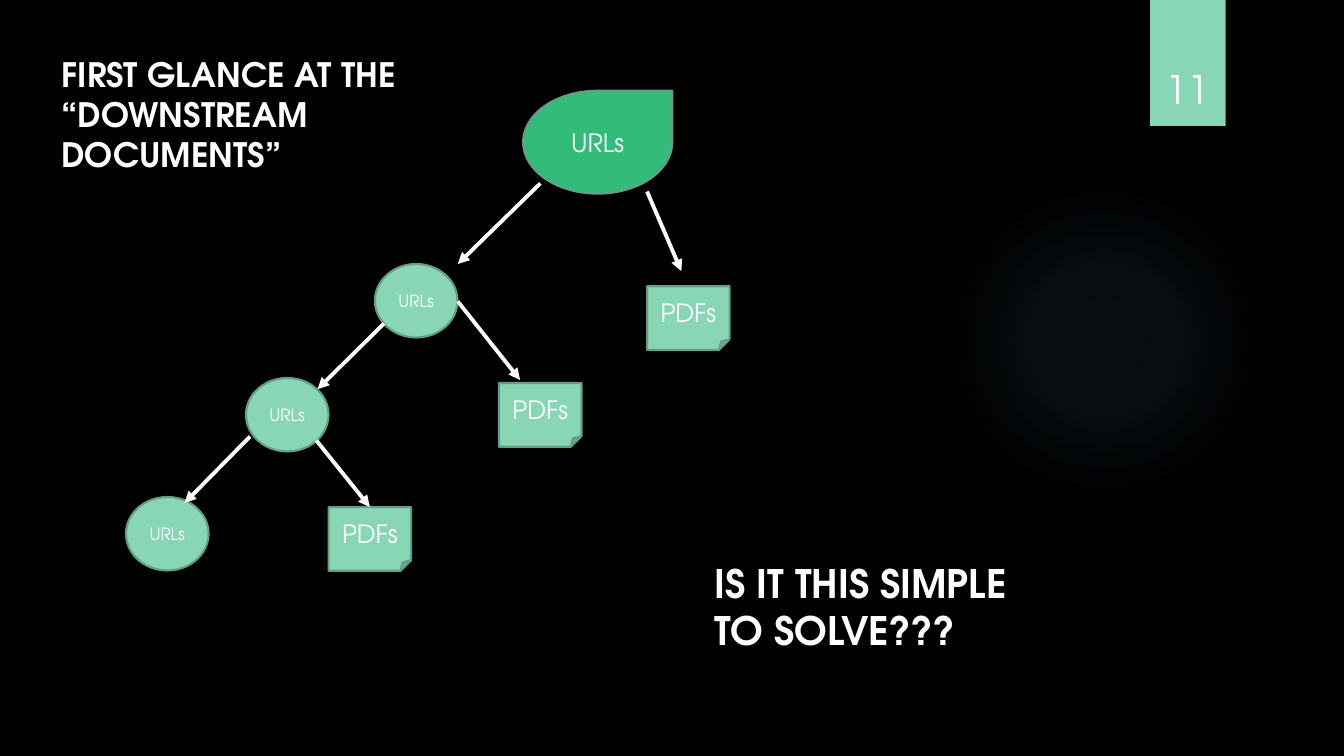
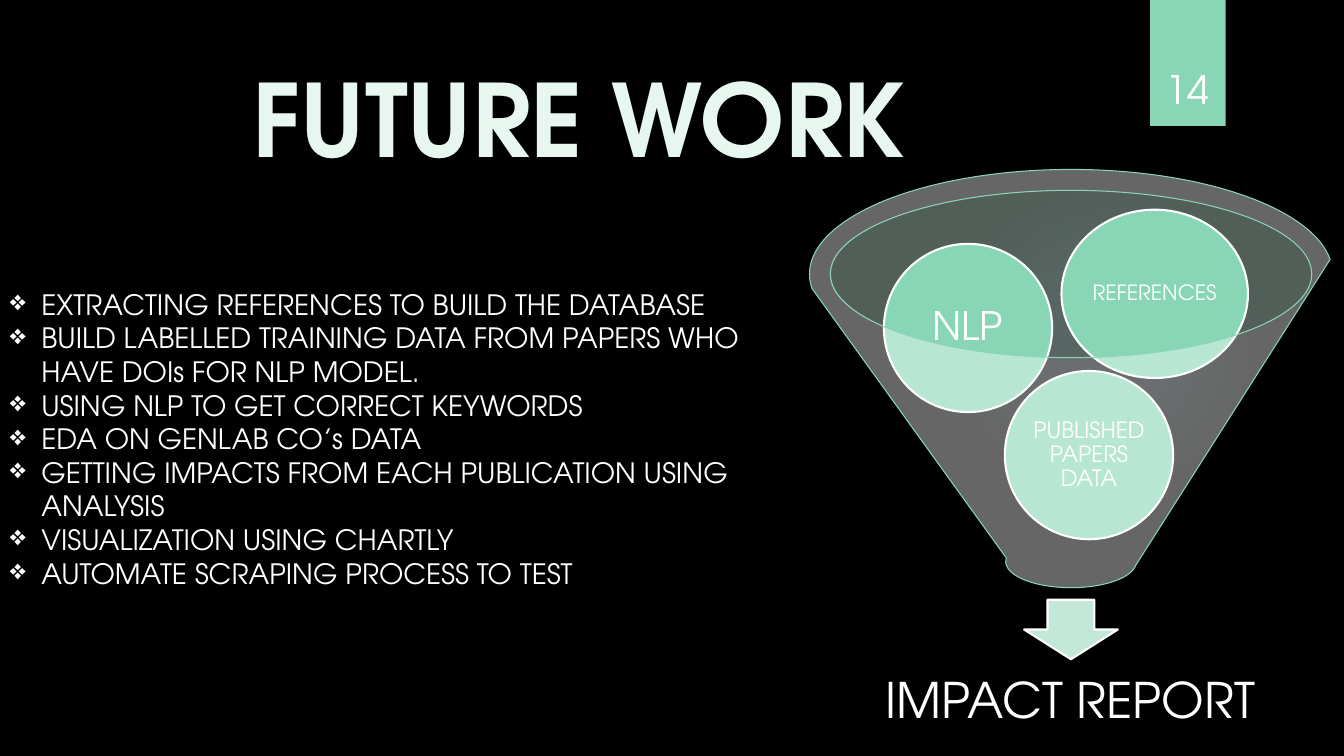
from typing import NamedTuple

from lxml import etree
from pptx import Presentation, oxml
from pptx import util as u
from pptx.dml import color
from pptx.enum import shapes, text
from pptx.oxml import ns
from pptx.shapes import autoshape
from pptx.slide import Slide
from pptx.text.text import TextFrame

FONT = "TeX Gyre Adventor"
COLORS = {
    "background": "000000",
    "text": "FFFFFF",
    "headline": "E7F7F0",
    "mint": "88D6B6",
    "green": "32BB79",
    "outline": "659E87",
    "rim": "CFECDE",
    "arrow": "C3E8D7",
    "glow": "7AC4F0",
}
TITLE_ONLY = 5
KIND = shapes.MSO_SHAPE
ALIGN = text.PP_ALIGN
ANCHOR = text.MSO_ANCHOR


class Box(NamedTuple):
    left: float
    top: float
    width: float
    height: float

    def lengths(self) -> list[u.Length]:
        return [u.Pt(value) for value in self]


class TextStyle(NamedTuple):
    size: float
    color: str = "text"
    bold: bool = False
    align: text.PP_ALIGN = ALIGN.CENTER
    anchor: text.MSO_ANCHOR = ANCHOR.MIDDLE
    line_spacing: float = 1.0
    inset: tuple[float, float] = (7.2, 3.6)
    wrap: bool = True


class NodeStyle(NamedTuple):
    kind: shapes.MSO_SHAPE
    width: float
    height: float
    fill: str
    size: float


class Node(NamedTuple):
    style: NodeStyle
    label: str
    left: float
    top: float


class Arrow(NamedTuple):
    begin: tuple[float, float]
    end: tuple[float, float]


class Ball(NamedTuple):
    label: str
    box: Box
    size: float
    inset: float


ROOT = NodeStyle(KIND.TEAR, 106.5, 73.5, "green", 18)
URL = NodeStyle(KIND.OVAL, 59, 52.5, "mint", 12)
PDF = NodeStyle(KIND.FOLDED_CORNER, 59, 45.5, "mint", 18)

NODES = [
    Node(ROOT, "URLs", 373.7, 64.8),
    Node(URL, "URLs", 267.8, 188.6),
    Node(URL, "URLs", 175.7, 270),
    Node(URL, "URLs", 90, 355),
    Node(PDF, "PDFs", 462.2, 204.5),
    Node(PDF, "PDFs", 356.4, 273.6),
    Node(PDF, "PDFs", 234.7, 362.2),
]
ARROWS = [
    Arrow((386, 131), (327, 188.6)),
    Arrow((462.2, 136.8), (486.7, 193.7)),
    Arrow((274.3, 231.1), (226.8, 278)),
    Arrow((327, 215.3), (371.5, 271.4)),
    Arrow((178.6, 311.8), (131.8, 359.3)),
    Arrow((226, 314.6), (264.2, 362.2)),
]
TASKS = [
    "EXTRACTING REFERENCES TO BUILD THE DATABASE",
    "BUILD LABELLED TRAINING DATA FROM PAPERS WHO HAVE DOIs FOR NLP MODEL.",
    "USING NLP TO GET CORRECT KEYWORDS",
    "EDA ON GENLAB CO’s DATA",
    "GETTING IMPACTS FROM EACH PUBLICATION USING ANALYSIS",
    "VISUALIZATION USING CHARTLY",
    "AUTOMATE SCRAPING PROCESS TO TEST",
]
BALLS = [
    Ball("PUBLISHED PAPERS DATA", Box(717.8, 265, 120.2, 120.2), 16, 1.5),
    Ball("NLP", Box(631.4, 174.2, 120.2, 120.2), 28, 3),
    Ball("REFERENCES", Box(758.2, 149.8, 133.2, 120.2), 15, 1.5),
]


def rgb(name: str) -> color.RGBColor:
    return color.RGBColor.from_string(COLORS[name])


def write(frame: TextFrame, lines: list[str], style: TextStyle, bullet: str = "") -> None:
    frame.word_wrap = style.wrap
    frame.auto_size = text.MSO_AUTO_SIZE.NONE
    frame.vertical_anchor = style.anchor
    frame.margin_left = frame.margin_right = u.Pt(style.inset[0])
    frame.margin_top = frame.margin_bottom = u.Pt(style.inset[1])
    for index, line in enumerate(lines):
        paragraph = frame.paragraphs[0] if index == 0 else frame.add_paragraph()
        paragraph.alignment = style.align
        paragraph.line_spacing = style.line_spacing
        if bullet:
            add_bullet(paragraph, bullet)
        run = paragraph.add_run()
        run.text = line
        run.font.name = FONT
        run.font.size = u.Pt(style.size)
        run.font.bold = style.bold
        run.font.color.rgb = rgb(style.color)


def add_bullet(paragraph, mark: str, indent: float = 22.5) -> None:
    properties = paragraph._p.get_or_add_pPr()
    properties.set("marL", str(u.Pt(indent)))
    properties.set("indent", str(-u.Pt(indent)))
    etree.SubElement(properties, ns.qn("a:buChar")).set("char", mark)


def add_text(slide: Slide, box: Box, lines: list[str], style: TextStyle, bullet: str = "") -> None:
    write(slide.shapes.add_textbox(*box.lengths()).text_frame, lines, style, bullet)


def set_title(slide: Slide, box: Box, title: str, style: TextStyle) -> None:
    placeholder = slide.shapes.title
    placeholder.left, placeholder.top, placeholder.width, placeholder.height = box.lengths()
    write(placeholder.text_frame, [title], style)


def add_shape(slide: Slide, kind: shapes.MSO_SHAPE, box: Box, fill: str, line: str = "",
              line_width: float = 1.5, opacity: int = 100) -> autoshape.Shape:
    shape = slide.shapes.add_shape(kind, *box.lengths())
    shape.shadow.inherit = False
    shape.fill.solid()
    shape.fill.fore_color.rgb = rgb(fill)
    if opacity < 100:
        fill_color = shape._element.spPr.find(ns.qn("a:solidFill"))[0]
        etree.SubElement(fill_color, ns.qn("a:alpha")).set("val", str(opacity * 1000))
    if line:
        shape.line.color.rgb = rgb(line)
        shape.line.width = u.Pt(line_width)
    else:
        shape.line.fill.background()
    return shape


def add_arrow(slide: Slide, arrow: Arrow) -> None:
    ends = [u.Pt(value) for value in arrow.begin + arrow.end]
    connector = slide.shapes.add_connector(shapes.MSO_CONNECTOR.STRAIGHT, *ends)
    connector.line.color.rgb = rgb("text")
    connector.line.width = u.Pt(2.75)
    etree.SubElement(connector.line._get_or_add_ln(), ns.qn("a:tailEnd")).set("type", "triangle")
    etree.SubElement(connector._element.spPr, ns.qn("a:effectLst"))


def add_glow(slide: Slide) -> None:
    """Draw the faint round light that fades out to the right of the centre."""
    glow = add_shape(slide, KIND.OVAL, Box(677.5, 131.8, 221.8, 221.8), "glow")
    stops = "".join(
        f'<a:gs pos="{position}000"><a:srgbClr val="{COLORS["glow"]}">'
        f'<a:alpha val="{opacity}000"/></a:srgbClr></a:gs>'
        for position, opacity in [(0, 7), (36, 6), (69, 0)]
    )
    gradient = oxml.parse_xml(
        f'<a:gradFill {ns.nsdecls("a")}><a:gsLst>{stops}</a:gsLst><a:path path="circle">'
        '<a:fillToRect l="50000" t="50000" r="50000" b="50000"/></a:path></a:gradFill>'
    )
    properties = glow._element.spPr
    properties.replace(properties.find(ns.qn("a:solidFill")), gradient)


def add_base_slide(presentation, number: int) -> Slide:
    """Add a slide with the glow and the numbered tab."""
    slide = presentation.slides.add_slide(presentation.slide_layouts[TITLE_ONLY])
    add_glow(slide)
    add_shape(slide, KIND.RECTANGLE, Box(821.5, 0, 54, 90), "mint")
    add_text(slide, Box(815, 23, 66.2, 60.5), [str(number)],
             TextStyle(28, anchor=ANCHOR.BOTTOM))
    return slide


def build_documents_slide(presentation) -> None:
    slide = add_base_slide(presentation, 11)
    heading = TextStyle(24, bold=True, align=ALIGN.LEFT, anchor=ANCHOR.TOP)
    set_title(slide, Box(36.7, 34.6, 260.6, 94.3),
              "FIRST GLANCE AT THE “DOWNSTREAM DOCUMENTS”", heading)
    for node in NODES:
        style = node.style
        box = Box(node.left, node.top, style.width, style.height)
        shape = add_shape(slide, style.kind, box, style.fill, "outline")
        write(shape.text_frame, [node.label], TextStyle(style.size))
    for arrow in ARROWS:
        add_arrow(slide, arrow)
    add_text(slide, Box(503.3, 396, 260.6, 75), ["IS IT THIS SIMPLE TO SOLVE???"],
             heading._replace(size=28))


def build_future_slide(presentation) -> None:
    slide = add_base_slide(presentation, 14)
    set_title(slide, Box(170, 36.7, 487.4, 94.3), "FUTURE WORK",
              TextStyle(72, "headline", bold=True, anchor=ANCHOR.TOP, wrap=False))
    add_text(slide, Box(0, 201.6, 537.8, 249.8), TASKS,
             TextStyle(20, align=ALIGN.LEFT, anchor=ANCHOR.TOP), bullet="❖")

    add_shape(slide, KIND.OVAL, Box(592.6, 136, 344.2, 119.5), "rim", opacity=40)
    add_shape(slide, KIND.DOWN_ARROW, Box(731.5, 428.4, 67, 42.5), "arrow", "text")
    add_text(slide, Box(604.8, 464.4, 319.7, 75.6), ["IMPACT REPORT"],
             TextStyle(35, line_spacing=0.9, inset=(19.4, 19.4)))
    for ball in BALLS:
        shape = add_shape(slide, KIND.OVAL, ball.box, "mint", "text")
        write(shape.text_frame, [ball.label],
              TextStyle(ball.size, line_spacing=0.9, inset=(ball.inset, ball.inset)))
    add_shape(slide, KIND.FUNNEL, Box(578.2, 121, 373.7, 298.8), "text", "mint", 0.75, opacity=40)


def main() -> None:
    presentation = Presentation()
    presentation.slide_width = u.Pt(960)
    presentation.slide_height = u.Pt(540)
    background = presentation.slide_master.background.fill
    background.solid()
    background.fore_color.rgb = rgb("background")
    build_documents_slide(presentation)
    build_future_slide(presentation)
    presentation.save("out.pptx")


if __name__ == "__main__":
    main()
